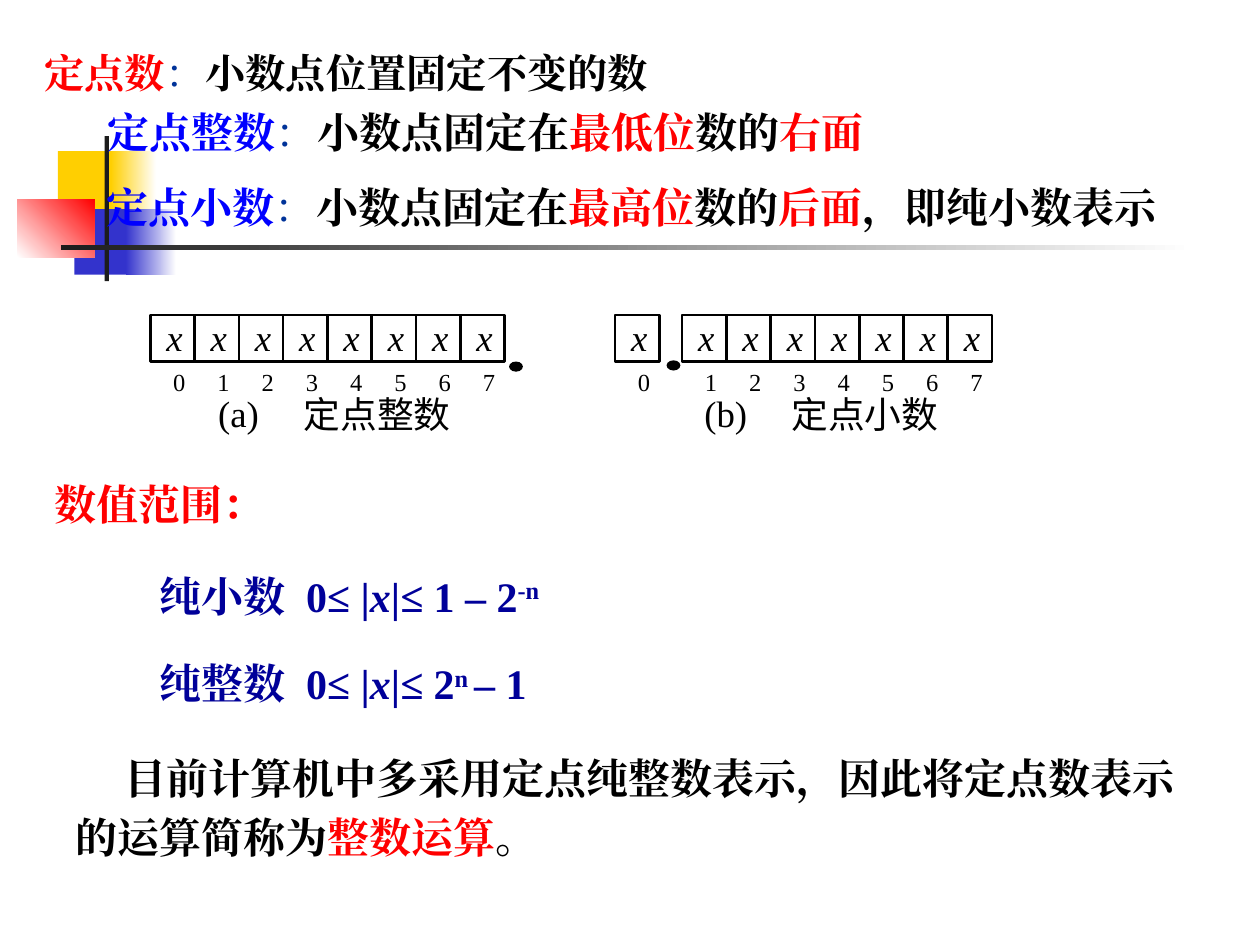
from dataclasses import dataclass

from lxml import etree
from pptx import Presentation
from pptx.dml.color import RGBColor
from pptx.enum import shapes, text
from pptx.oxml.ns import qn
from pptx.util import Pt


@dataclass(frozen=True)
class Theme:
    serif: str = "Times New Roman"
    sans: str = "Noto Sans CJK SC"
    black: str = "000000"
    red: str = "FF0000"
    blue: str = "0000FF"
    navy: str = "000099"
    colon: str = "003399"
    yellow: str = "FFCF01"
    indigo: str = "3333CC"
    charcoal: str = "1C1C1C"
    white: str = "FFFFFF"
    lead: float = 23
    main: float = 24
    figure: float = 21
    index: float = 14


T = Theme()


def add_runs(paragraph, size, *runs, font=T.serif):
    """Add (text, colour, style) runs; style letters: b bold, i italic, ^ superscript."""
    for wording, color, style in runs:
        run = paragraph.add_run()
        run.text = wording
        run.font.size = Pt(size)
        run.font.bold = "b" in style
        run.font.italic = "i" in style
        run.font.color.rgb = RGBColor.from_string(color)
        run.font.name = font
        properties = run._r.get_or_add_rPr()
        etree.SubElement(properties, qn("a:ea"), typeface=font)
        if "^" in style:
            properties.set("baseline", "30000")


def add_frame(parent, left, top, width, height, tight=False):
    """Add a text box; a tight one has no insets and does not wrap."""
    frame = parent.add_textbox(Pt(left), Pt(top), Pt(width), Pt(height)).text_frame
    frame.word_wrap = not tight
    if tight:
        frame.margin_left = frame.margin_right = 0
        frame.margin_top = frame.margin_bottom = 0
    return frame


prs = Presentation()
prs.slide_width, prs.slide_height = Pt(720), Pt(540)
slide = prs.slides.add_slide(prs.slide_layouts[1])
title, definitions = slide.placeholders
title.element.getparent().remove(title.element)

# Corner ornament: left, top, width, height, start colour, end colour, angle
ornament = [
    (33.1, 86.4, 34.6, 37.4, T.yellow, None, 0),
    (63.4, 86.4, 25.9, 37.4, T.yellow, T.white, 0),
    (42.5, 119.5, 33.1, 37.4, T.indigo, None, 0),
    (72, 119.5, 28.8, 37.4, T.indigo, T.white, 0),
    (10, 113.8, 44, 33.1, T.white, T.red, 45),
    (59.8, 77.8, 2.4, 82.8, T.charcoal, None, 0),
    (34.6, 140.2, 648, 2.4, T.charcoal, T.white, 0),
]
for left, top, width, height, start, end, angle in ornament:
    block = slide.shapes.add_shape(
        shapes.MSO_SHAPE.RECTANGLE, Pt(left), Pt(top), Pt(width), Pt(height))
    block.shadow.inherit = False
    block.line.fill.background()
    if end:
        block.fill.gradient()
        block.fill.gradient_angle = angle
        for stop, color in zip(block.fill.gradient_stops, (start, end)):
            stop.color.rgb = RGBColor.from_string(color)
    else:
        block.fill.solid()
        block.fill.fore_color.rgb = RGBColor.from_string(start)

# Definitions, in front of the ornament
definitions.element.getparent().append(definitions.element)
definitions.left, definitions.top = Pt(18), Pt(23.8)
definitions.width, definitions.height = Pt(671.8), Pt(72)
frame = definitions.text_frame
frame.auto_size = text.MSO_AUTO_SIZE.NONE
fixed_point, fixed_integer = frame.paragraphs[0], frame.add_paragraph()
fixed_integer.level = 1
for paragraph, margin, before in ((fixed_point, 0, 0), (fixed_integer, 36, 6)):
    properties = paragraph._p.get_or_add_pPr()
    properties.set("marL", str(Pt(margin)))
    properties.set("indent", "0")
    etree.SubElement(properties, qn("a:buNone"))
    paragraph.space_before = Pt(before)
add_runs(fixed_point, T.lead,
         ("定点数", T.red, "b"), ("：", T.colon, ""),
         ("小数点位置固定不变的数", T.black, "b"))
add_runs(fixed_integer, T.main,
         ("定点整数", T.blue, "b"), ("：", T.colon, ""),
         ("小数点固定在", T.black, "b"), ("最低位", T.red, "b"),
         ("数的", T.black, "b"), ("右面", T.red, "b"))

fixed_fraction = add_frame(slide.shapes, 54, 100, 648, 36).paragraphs[0]
add_runs(fixed_fraction, T.main,
         ("定点小数", T.blue, "b"), ("：", T.colon, ""),
         ("小数点固定在", T.black, "b"), ("最高位", T.red, "b"),
         ("数的", T.black, "b"), ("后面", T.red, "b"),
         ("，即纯小数表示", T.black, "b"))

# Digit registers: left, gap after the sign digit, point position, captions
PITCH, CELL_TOP, CELL_HEIGHT = 25.3, 180, 26.6
registers = [
    (351.5, 13, (380.9, 205.9), ("(b)", 402.5), ("定点小数", 452.2)),
    (85.9, 0, (290.9, 206.6), ("(a)", 124.6), ("定点整数", 173.5)),
]
for left, gap, (point_x, point_y), (letter, letter_x), (name, name_x) in registers:
    register = slide.shapes.add_group_shape().shapes
    for digit in range(8):
        x = left + digit * PITCH + (gap if digit else 0)
        cell = register.add_shape(
            shapes.MSO_SHAPE.RECTANGLE, Pt(x), Pt(CELL_TOP), Pt(PITCH), Pt(CELL_HEIGHT))
        cell.shadow.inherit = False
        cell.fill.background()
        cell.line.color.rgb = RGBColor.from_string(T.black)
        cell.line.width = Pt(1.5)
        symbol = add_frame(register, x + 9.2, CELL_TOP, 9.4, 25.2, tight=True)
        add_runs(symbol.paragraphs[0], T.figure, ("x", T.black, "i"))
        index = add_frame(register, x + 13, 209.5, 7.2, 16.6, tight=True)
        add_runs(index.paragraphs[0], T.index, (str(digit), T.black, ""))
    point = register.add_shape(
        shapes.MSO_SHAPE.OVAL, Pt(point_x), Pt(point_y), Pt(7.9), Pt(5.8))
    point.shadow.inherit = False
    point.fill.solid()
    point.fill.fore_color.rgb = RGBColor.from_string(T.black)
    point.line.fill.background()
    for caption, x, y, width, font in (
            (letter, letter_x, 223.2, 29, T.serif), (name, name_x, 223.9, 84, T.sans)):
        label = add_frame(register, x, y, width, 25.2, tight=True)
        add_runs(label.paragraphs[0], T.figure, (caption, T.black, ""), font=font)

# Value ranges
ranges = add_frame(slide.shapes, 23.8, 270, 678.2, 138.2)
add_runs(ranges.paragraphs[0], T.main, ("数值范围：", T.red, "b"))
formulas = [
    ("纯小数", 191.5, 0.8, 29, [("1 – 2", "b"), ("-n", "b^")]),
    ("纯整数", 189, 1.75, 0, [("2", "b"), ("n ", "b^"), ("– 1", "b")]),
]
for kind, tab, spacing, before, bound in formulas:
    paragraph = ranges.add_paragraph()
    properties = paragraph._p.get_or_add_pPr()
    properties.set("marL", "0")
    properties.set("indent", str(Pt(60.5)))
    tabs = etree.SubElement(properties, qn("a:tabLst"))
    etree.SubElement(tabs, qn("a:tab"), pos=str(Pt(tab)), algn="l")
    paragraph.line_spacing = spacing
    paragraph.space_before = Pt(before)
    parts = [(kind + "\t0≤ |", "b"), ("x", "bi"), ("|", "b"), ("≤ ", "bi"), *bound]
    add_runs(paragraph, T.main, *((part, T.navy, style) for part, style in parts))

# Conclusion
conclusion = add_frame(slide.shapes, 36, 401.8, 650.2, 92.9)
usage, summary = conclusion.paragraphs[0], conclusion.add_paragraph()
usage._p.get_or_add_pPr().set("indent", str(Pt(28)))
usage.line_spacing = 1.85
summary.line_spacing = 0.6
summary.space_before = Pt(15)
add_runs(usage, T.main, ("目前计算机中多采用定点纯整数表示，因此将定点数表示", T.black, "b"))
add_runs(summary, T.main, ("的运算简称为", T.black, "b"),
         ("整数运算", T.red, "b"), ("。", T.black, "b"))

prs.save("out.pptx")
